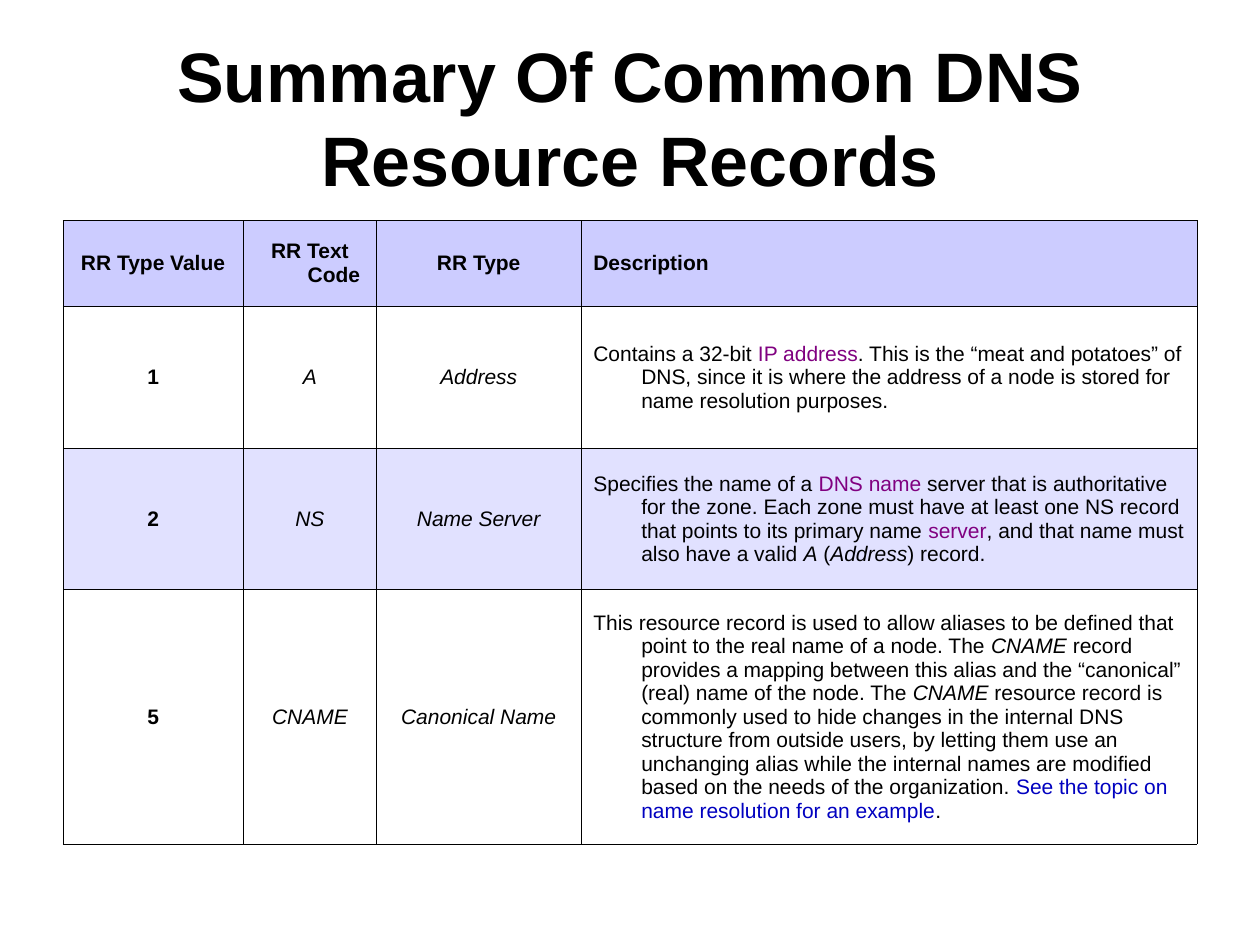
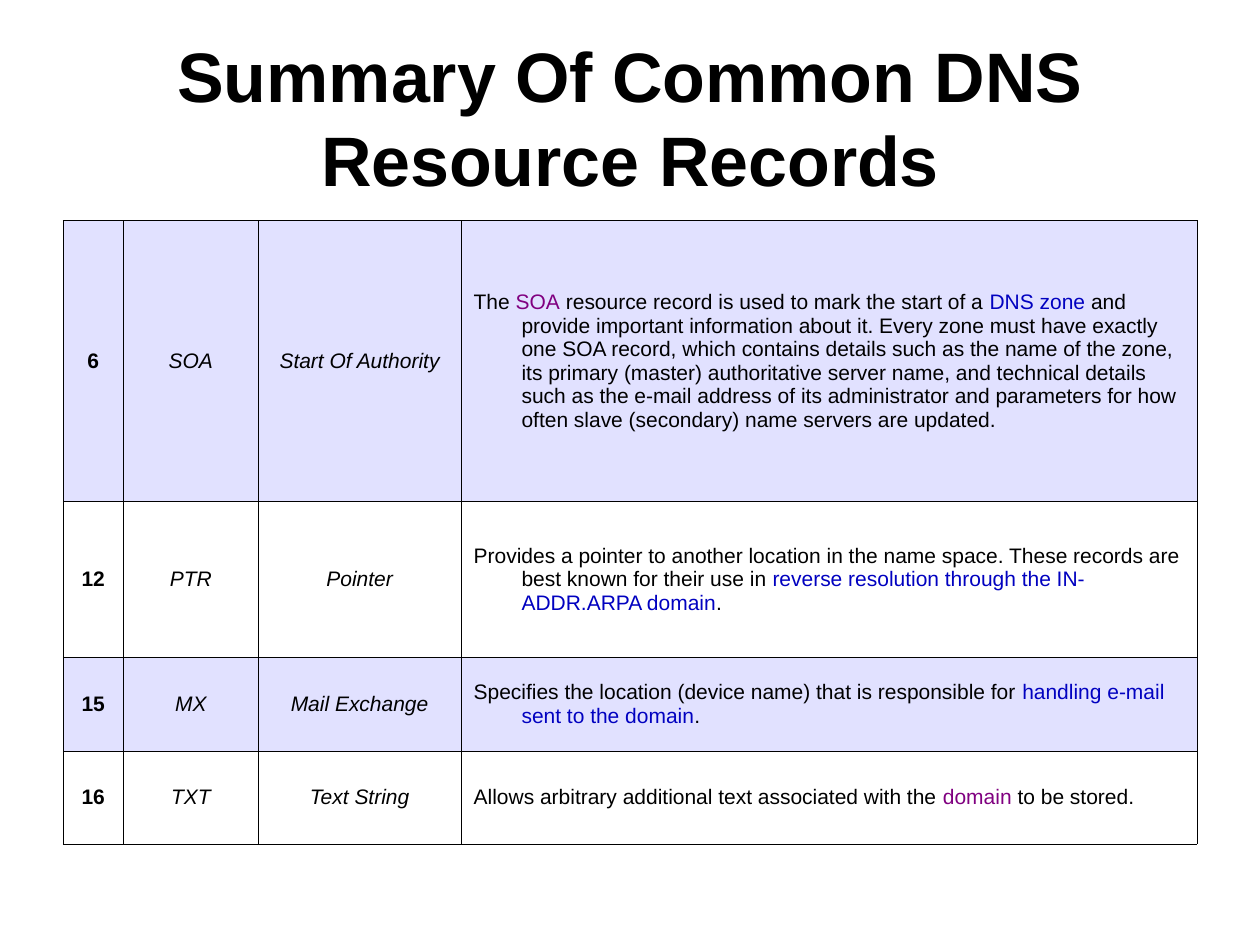
from lxml import etree
from pptx import Presentation
from pptx.dml.color import RGBColor
from pptx.enum.text import MSO_ANCHOR, PP_ALIGN
from pptx.oxml.ns import qn
from pptx.util import Inches, Pt

MIDDLE = MSO_ANCHOR.MIDDLE
CENTER, LEFT = PP_ALIGN.CENTER, PP_ALIGN.LEFT
FONT = "Arial"
COLORS = {
    "text": "000000",
    "term": "800080",
    "link": "0101C0",
    "header": "CCCCFF",
    "band": "E1E1FF",
    "border": "000000",
}
TITLE = "Summary Of Common DNS Resource Records"
HEADER = ["RR Type Value", "RR Text Code", "RR Type", "Description"]

SLIDES = [
    {
        "cols": [1.43, 1.06, 1.62, 4.89],
        "heights": [0.68, 1.13, 1.12, 2.02],
        "fills": ["header", None, "band", None],
        "rows": [
            [[(text, "bold")] for text in HEADER],
            ["1", "A", "Address", [
                ("Contains a 32-bit ", "text"),
                ("IP address", "term"),
                (". This is the “meat and potatoes” of DNS, since it is where the "
                 "address of a node is stored for name resolution purposes.", "text"),
            ]],
            ["2", "NS", "Name Server", [
                ("Specifies the name of a ", "text"),
                ("DNS name", "term"),
                (" server that is authoritative for the zone. Each zone must have at "
                 "least one NS record that points to its primary name ", "text"),
                ("server", "term"),
                (", and that name must also have a valid ", "text"),
                ("A", "italic"),
                (" (", "text"),
                ("Address", "italic"),
                (") record.", "text"),
            ]],
            ["5", "CNAME", "Canonical Name", [
                ("This resource record is used to allow aliases to be defined that "
                 "point to the real name of a node. The ", "text"),
                ("CNAME", "italic"),
                (" record provides a mapping between this alias and the “canonical” "
                 "(real) name of the node. The ", "text"),
                ("CNAME", "italic"),
                (" resource record is commonly used to hide changes in the internal "
                 "DNS structure from outside users, by letting them use an unchanging "
                 "alias while the internal names are modified based on the needs of "
                 "the organization. ", "text"),
                ("See the topic on name resolution for an example", "link"),
                (".", "text"),
            ]],
        ],
    },
    {
        "cols": [0.48, 1.07, 1.61, 5.84],
        "heights": [2.23, 1.24, 0.74, 0.74],
        "fills": ["band", None, "band", None],
        "rows": [
            ["6", "SOA", "Start Of Authority", [
                ("The ", "text"),
                ("SOA", "term"),
                (" resource record is used to mark the start of a ", "text"),
                ("DNS zone", "link"),
                (" and provide important information about it. Every zone must have "
                 "exactly one SOA record, which contains details such as the name of "
                 "the zone, its primary (master) authoritative server name, and "
                 "technical details such as the e-mail address of its administrator "
                 "and parameters for how often slave (secondary) name servers are "
                 "updated.", "text"),
            ]],
            ["12", "PTR", "Pointer", [
                ("Provides a pointer to another location in the name space. These "
                 "records are best known for their use in ", "text"),
                ("reverse resolution through the IN-ADDR.ARPA domain", "link"),
                (".", "text"),
            ]],
            ["15", "MX", "Mail Exchange", [
                ("Specifies the location (device name) that is responsible for ", "text"),
                ("handling e-mail sent to the domain", "link"),
                (".", "text"),
            ]],
            ["16", "TXT", "Text String", [
                ("Allows arbitrary additional text associated with the ", "text"),
                ("domain", "term"),
                (" to be stored.", "text"),
            ]],
        ],
    },
]


def add_run(p, text, style, size):
    r = p.add_run()
    r.text = text
    r.font.name = FONT
    r.font.size = Pt(size)
    r.font.bold = style == "bold"
    r.font.italic = style == "italic"
    r.font.color.rgb = RGBColor.from_string(COLORS.get(style, COLORS["text"]))


def add_borders(cell):
    tcPr = cell._tc.get_or_add_tcPr()
    for i, side in enumerate(("a:lnL", "a:lnR", "a:lnT", "a:lnB")):
        ln = etree.Element(qn(side), w=str(Pt(0.34)))
        fill = etree.SubElement(ln, qn("a:solidFill"))
        etree.SubElement(fill, qn("a:srgbClr"), val=COLORS["border"])
        tcPr.insert(i, ln)


prs = Presentation()
prs.slide_width, prs.slide_height = Inches(10), Inches(7.5)

for content in SLIDES:
    s = prs.slides.add_slide(prs.slide_layouts[5])
    title = s.shapes.title
    title.left, title.top = Inches(0.5), Inches(0.3)
    title.width, title.height = Inches(9), Inches(1.25)
    tf = title.text_frame
    tf.word_wrap = True
    tf.vertical_anchor = MIDDLE
    p = tf.paragraphs[0]
    p.alignment = CENTER
    add_run(p, TITLE, "bold", 40)

    table = s.shapes.add_table(
        len(content["rows"]), len(content["cols"]),
        Inches(0.5), Inches(1.75), Inches(9), Inches(4.95)).table
    table.first_row = table.horz_banding = False
    for col, width in zip(table.columns, content["cols"]):
        col.width = Inches(width)

    for i, (row, cells) in enumerate(zip(table.rows, content["rows"])):
        row.height = Inches(content["heights"][i])
        fill = content["fills"][i]
        for j, (cell, runs) in enumerate(zip(row.cells, cells)):
            cell.vertical_anchor = MIDDLE
            if fill:
                cell.fill.solid()
                cell.fill.fore_color.rgb = RGBColor.from_string(COLORS[fill])
            else:
                cell.fill.background()
            add_borders(cell)
            p = cell.text_frame.paragraphs[0]
            p.alignment = LEFT if j == 3 else CENTER
            pPr = p._p.get_or_add_pPr()
            pPr.set("marL", str(Inches(0.38)))
            pPr.set("indent", str(Inches(-0.38)))
            if isinstance(runs, str):
                runs = [(runs, "bold" if j == 0 else "italic")]
            for text, style in runs:
                add_run(p, text, style, 12)

prs.save("out.pptx")
